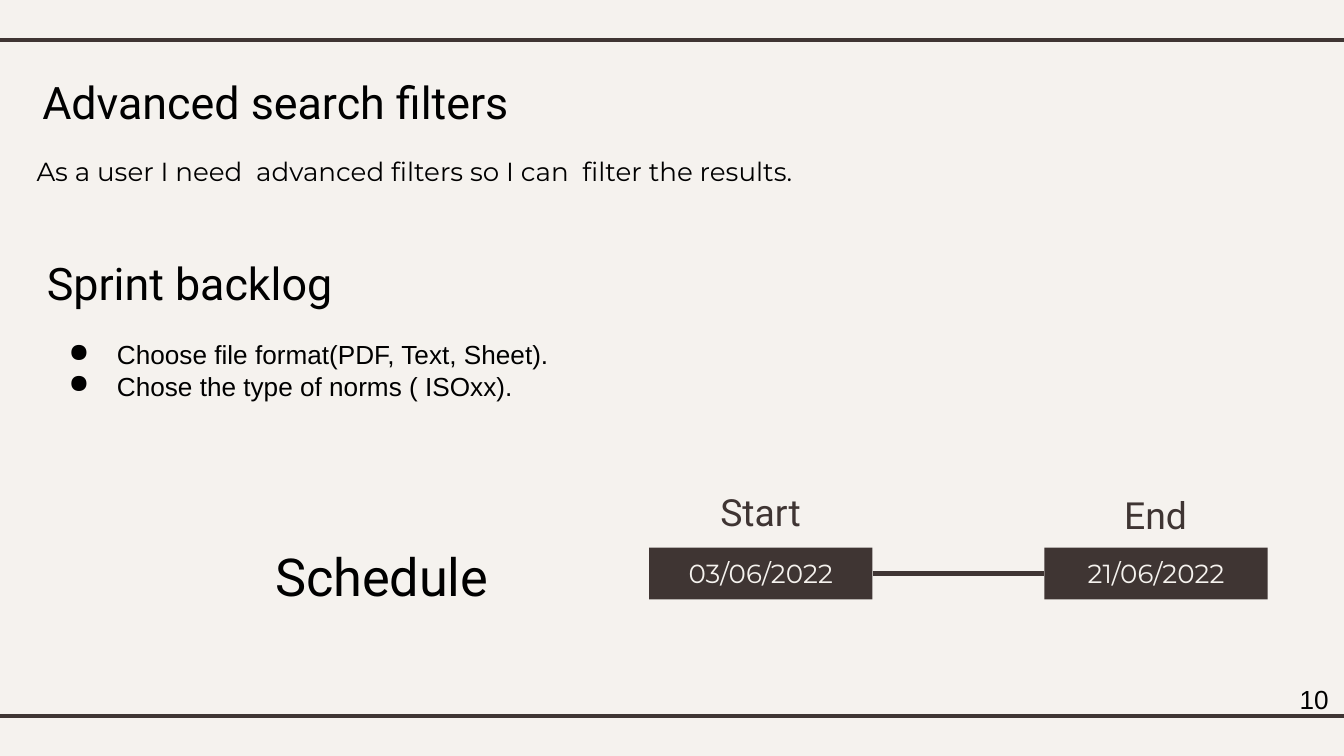
"""Build the sprint slide on advanced search filters and its schedule."""
from lxml import etree
from pptx import Presentation, util as u
from pptx.dml.color import RGBColor
from pptx.enum import shapes, text
from pptx.oxml.ns import qn

DARK, LIGHT, BLACK = "3F3533", "F5F2EE", "000000"
TOP, MIDDLE = text.MSO_ANCHOR.TOP, text.MSO_ANCHOR.MIDDLE
LEFT, CENTER = text.PP_ALIGN.LEFT, text.PP_ALIGN.CENTER


def color(value):
    """Turn a hex string into a colour."""
    return RGBColor.from_string(value)


def write(sp, *lines, font="Roboto", size=14, ink=BLACK, align=CENTER,
          anchor=MIDDLE, bullet=False):
    """Fill a shape with formatted paragraphs."""
    tf = sp.text_frame
    tf.word_wrap = True
    tf.vertical_anchor = anchor
    tf.margin_left = tf.margin_right = tf.margin_top = tf.margin_bottom = u.Cm(0.25)
    for i, line in enumerate(lines):
        p = tf.add_paragraph() if i else tf.paragraphs[0]
        p.alignment = align
        r = p.add_run()
        r.text = line
        r.font.name, r.font.size = font, u.Pt(size)
        r.font.color.rgb = color(ink)
        if bullet:
            add_bullet(p)


def add_bullet(p):
    """Give a paragraph a hanging round bullet."""
    pPr = p._p.get_or_add_pPr()
    pPr.set("marL", str(u.Cm(1.27)))
    pPr.set("indent", str(-u.Cm(0.91)))
    etree.SubElement(pPr, qn("a:buChar"), char="●")


def add_label(s, x, y, w, h, *lines, **fmt):
    """Add a text box with its text."""
    sp = s.shapes.add_textbox(u.Cm(x), u.Cm(y), u.Cm(w), u.Cm(h))
    write(sp, *lines, **fmt)


def add_line(s, x1=0, y1=0, x2=0, y2=0):
    """Add a dark straight line without shadow."""
    ln = s.shapes.add_connector(shapes.MSO_CONNECTOR.STRAIGHT,
                                u.Cm(x1), u.Cm(y1), u.Cm(x2), u.Cm(y2))
    ln.line.color.rgb = color(DARK)
    ln.line.width = u.Pt(2.25)
    etree.SubElement(ln._element.spPr, qn("a:effectLst"))
    return ln


def add_date(s, x, date):
    """Add a dark schedule box holding a date."""
    sp = s.shapes.add_shape(shapes.MSO_SHAPE.RECTANGLE,
                            u.Cm(x), u.Cm(10.35), u.Cm(4.22), u.Cm(0.98))
    sp.shadow.inherit = False
    sp.fill.solid()
    sp.fill.fore_color.rgb = color(DARK)
    sp.line.fill.background()
    write(sp, date, font="Montserrat", ink=LIGHT)
    return sp


def main():
    """Build and save the slide."""
    prs = Presentation()
    prs.slide_width, prs.slide_height = u.Cm(25.4), u.Cm(14.29)
    s = prs.slides.add_slide(prs.slide_layouts[6])
    s.background.fill.solid()
    s.background.fill.fore_color.rgb = color(LIGHT)
    for y in (0.76, 13.54):
        add_line(s, -0.2, y, 25.6, y)

    add_label(s, -1.96, 0.36, 14.33, 3.12, "Advanced search filters", size=24)
    add_label(s, 0.3, 2.69, 15.09, 1.55,
              "As a user I need  advanced filters so I can  filter the results.",
              font="Montserrat", anchor=TOP)
    add_label(s, -3.58, 3.78, 14.33, 3.12, "Sprint backlog", size=24)
    add_label(s, 0.69, 6.15, 14.33, 1.7,
              "Choose file format(PDF, Text, Sheet).",
              "Chose the type of norms ( ISOxx).",
              font="Arial", align=LEFT, anchor=TOP, bullet=True)

    add_label(s, 4.95, 10.03, 6.5, 1.6, "Schedule", size=28, align=LEFT, anchor=TOP)
    add_label(s, 13.13, 9.3, 2.49, 0.74, "Start", size=20, ink=DARK)
    add_label(s, 19.15, 9.35, 5.38, 0.74, "End", size=20, ink=DARK)
    start = add_date(s, 12.27, "03/06/2022")
    end = add_date(s, 19.74, "21/06/2022")
    ln = add_line(s)
    ln.begin_connect(start, 3)
    ln.end_connect(end, 1)

    add_label(s, 24.31, 12.78, 1.09, 0.86, "10", font="Arial", align=LEFT)
    prs.save("out.pptx")


if __name__ == "__main__":
    main()
